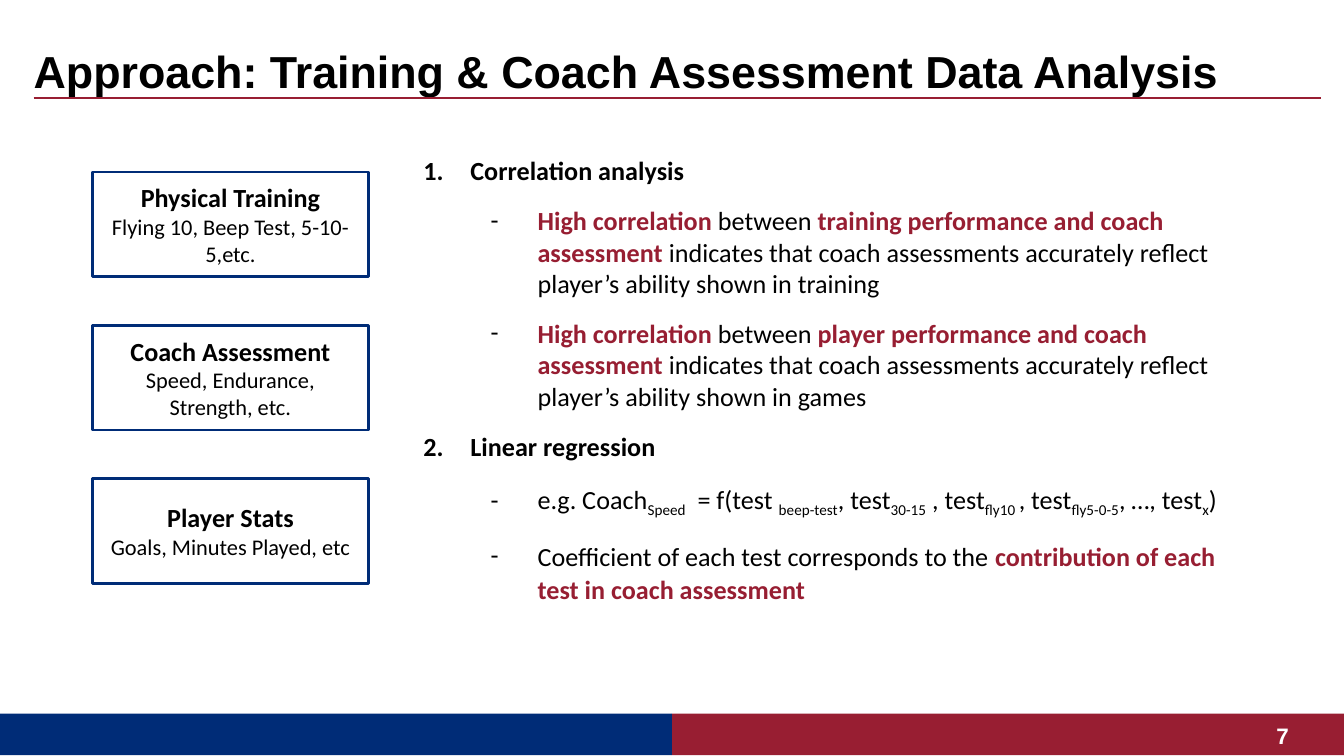
"""Build a slide on the training and coach assessment data analysis approach."""
from lxml.etree import SubElement
from pptx import Presentation
from pptx.dml.color import RGBColor
from pptx.enum.shapes import MSO_CONNECTOR, MSO_SHAPE
from pptx.enum.text import MSO_ANCHOR, MSO_AUTO_SIZE, PP_ALIGN
from pptx.oxml.ns import qn
from pptx.util import Inches, Pt

BLACK = RGBColor(0x00, 0x00, 0x00)
WHITE = RGBColor(0xFF, 0xFF, 0xFF)
NAVY = RGBColor(0x00, 0x2C, 0x77)
CRIMSON = RGBColor(0x98, 0x1E, 0x32)
ACCENT = RGBColor(0x97, 0x1E, 0x32)


def add_text(paragraph, text, size=14, font="Calibri", color=BLACK, bold=False, subscript=False):
    run = paragraph.add_run()
    run.text = text
    run.font.size = Pt(size)
    run.font.name = font
    run.font.color.rgb = color
    run.font.bold = bold
    if subscript:
        run._r.get_or_add_rPr().set("baseline", "-25000")


def set_bullet(paragraph, tag, **attributes):
    properties = paragraph._p.get_or_add_pPr()
    level = paragraph.level
    properties.set("marL", str(Inches(0.5 + 0.5 * level)))
    properties.set("indent", str(Inches(-0.35)))
    color = SubElement(properties, qn("a:buClr"))
    SubElement(color, qn("a:srgbClr"), val=str(BLACK))
    SubElement(properties, qn("a:buFont"), typeface="Calibri")
    SubElement(properties, qn(tag), **attributes)


presentation = Presentation()
presentation.slide_width = Inches(10)
presentation.slide_height = Inches(10) * 9 // 16
slide = presentation.slides.add_slide(presentation.slide_layouts[1])
shapes = slide.shapes

for left, color in [(5, CRIMSON), (0, NAVY)]:
    band = shapes.add_shape(MSO_SHAPE.RECTANGLE, Inches(left), Inches(5.31), Inches(5), Inches(0.31))
    band.shadow.inherit = False
    band.fill.solid()
    band.fill.fore_color.rgb = color
    band.line.fill.background()

rule = shapes.add_connector(MSO_CONNECTOR.STRAIGHT, Inches(0.25), Inches(0.73), Inches(9.83), Inches(0.73))
rule.line.color.rgb = CRIMSON
rule.line.width = Pt(0.75)
SubElement(rule._element.spPr, qn("a:effectLst"))

title = shapes.title
title.left, title.top, title.width, title.height = Inches(0.25), Inches(0.27), Inches(9.08), Inches(0.41)
frame = title.text_frame
frame.margin_left = frame.margin_top = frame.margin_right = frame.margin_bottom = 0
frame.vertical_anchor = MSO_ANCHOR.TOP
frame.auto_size = MSO_AUTO_SIZE.NONE
paragraph = frame.paragraphs[0]
paragraph.alignment = PP_ALIGN.LEFT
paragraph.line_spacing = 1.14
add_text(paragraph, "Approach: Training & Coach Assessment Data Analysis", size=24, font="Arial", bold=True)

data_sources = [
    ("Physical Training", "Flying 10, Beep Test, 5-10-5,etc."),
    ("Coach Assessment", "Speed, Endurance, Strength, etc."),
    ("Player Stats", "Goals, Minutes Played, etc"),
]
for index, (heading, details) in enumerate(data_sources):
    top = Inches(1.28 + 1.14 * index)
    box = shapes.add_shape(MSO_SHAPE.RECTANGLE, Inches(0.69), top, Inches(2.05), Inches(0.78))
    box.shadow.inherit = False
    box.fill.background()
    box.line.color.rgb = NAVY
    box.line.width = Pt(1.5)
    frame = box.text_frame
    frame.vertical_anchor = MSO_ANCHOR.MIDDLE
    heading_paragraph, details_paragraph = frame.paragraphs[0], frame.add_paragraph()
    heading_paragraph.alignment = details_paragraph.alignment = PP_ALIGN.CENTER
    add_text(heading_paragraph, heading, bold=True)
    add_text(details_paragraph, details, size=12)

strong = {"bold": True}
accent = {"bold": True, "color": ACCENT}
plain = {}
low = {"subscript": True}
methods = [
    (0, 1, [("Correlation analysis", strong)]),
    (1, 1, [
        ("High correlation ", accent),
        ("between", plain),
        (" training performance and coach assessment", accent),
        (" indicates that coach assessments accurately reflect player’s ability shown in training", plain),
    ]),
    (1, 1, [
        ("High correlation ", accent),
        ("between", plain),
        (" player performance and coach assessment ", accent),
        ("indicates that coach assessments accurately reflect player’s ability shown in games", plain),
    ]),
    (0, 1, [("Linear regression", strong)]),
    (1, 1.08, [
        ("e.g. Coach", plain), ("Speed", low),
        ("  = f(test ", plain), ("beep-test", low),
        (", test", plain), ("30-15", low),
        (" , test", plain), ("fly10 ", low),
        (", test", plain), ("fly5-0-5", low),
        (", …, test", plain), ("x", low), (")", plain),
    ]),
    (1, 1.08, [
        ("Coefficient of each test corresponds to the ", plain),
        ("contribution of each test in coach assessment", accent),
    ]),
]
body = slide.placeholders[1]
body.left, body.top, body.width, body.height = Inches(2.9), Inches(1.05), Inches(6.54), Inches(3.53)
frame = body.text_frame
frame.margin_left = frame.margin_top = frame.margin_right = frame.margin_bottom = Inches(0.1)
frame.auto_size = MSO_AUTO_SIZE.SHAPE_TO_FIT_TEXT
for index, (level, line_spacing, pieces) in enumerate(methods):
    paragraph = frame.add_paragraph() if index else frame.paragraphs[0]
    paragraph.level = level
    paragraph.line_spacing = line_spacing
    paragraph.space_before = Pt(10)
    paragraph.space_after = Pt(8 if index == len(methods) - 1 else 0)
    if level:
        set_bullet(paragraph, "a:buChar", char="-")
    else:
        set_bullet(paragraph, "a:buAutoNum", type="arabicPeriod")
    for text, style in pieces:
        add_text(paragraph, text, **style)

page_number = shapes.add_textbox(Inches(9), Inches(5.35), Inches(0.84), Inches(0.24))
frame = page_number.text_frame
frame.word_wrap = True
frame.margin_left, frame.margin_right = 0, Inches(0.25)
frame.vertical_anchor = MSO_ANCHOR.MIDDLE
frame.paragraphs[0].alignment = PP_ALIGN.RIGHT
add_text(frame.paragraphs[0], "7", size=12, font="Arial", color=WHITE, bold=True)

presentation.save("out.pptx")
